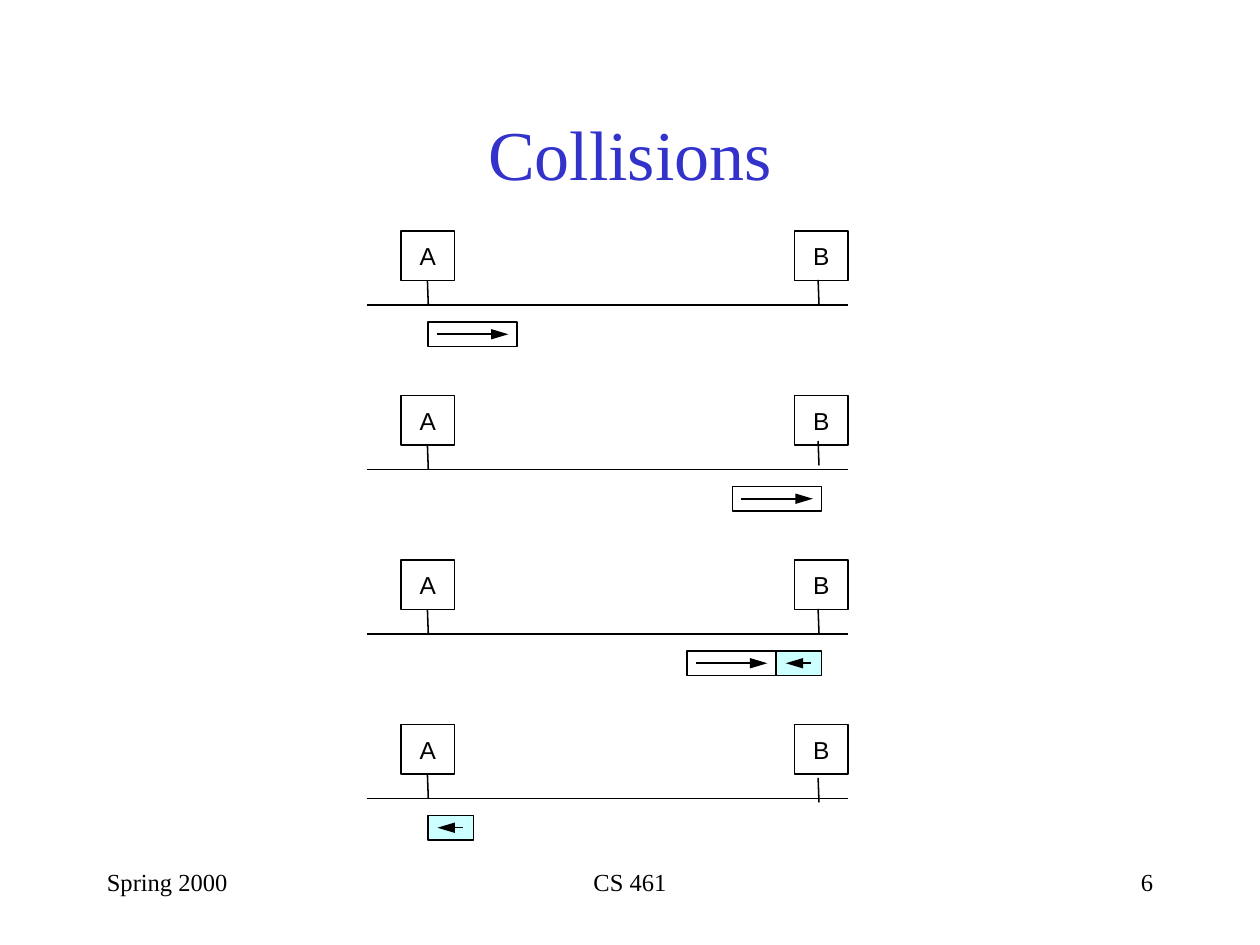
"""Build the Collisions slide: four stages of two stations sharing a bus."""
from lxml.etree import SubElement
from pptx import Presentation
from pptx.dml.color import RGBColor
from pptx.enum.shapes import MSO_CONNECTOR, MSO_SHAPE
from pptx.enum.text import MSO_ANCHOR, PP_ALIGN
from pptx.oxml.ns import qn
from pptx.util import Pt


def color(value):
    return RGBColor.from_string(value)


def add_line(left, top, right, bottom, arrow=False):
    line = page.shapes.add_connector(
        MSO_CONNECTOR.STRAIGHT, Pt(left), Pt(top), Pt(right), Pt(bottom))
    line.line.color.rgb = color("000000")
    line.line.width = Pt(0.88)
    if arrow:
        SubElement(line.line._get_or_add_ln(), qn("a:tailEnd"), type="triangle", w="med", len="lg")
    SubElement(line._element.spPr, qn("a:effectLst"))


deck = Presentation()
deck.slide_width, deck.slide_height = Pt(720), Pt(540)
page = deck.slides.add_slide(deck.slide_layouts[6])

texts = [
    ("Collisions", 54, 48, 612, 78, 40, "3333CC", PP_ALIGN.CENTER, MSO_ANCHOR.MIDDLE),
    ("Spring 2000", 54, 492, 150, 36, 14, "000000", PP_ALIGN.LEFT, MSO_ANCHOR.TOP),
    ("CS 461", 246, 492, 228, 36, 14, "000000", PP_ALIGN.CENTER, MSO_ANCHOR.TOP),
    ("6", 516, 492, 150, 36, 14, "000000", PP_ALIGN.RIGHT, MSO_ANCHOR.TOP),
]
for text, left, top, width, height, size, ink, align, anchor in texts:
    box = page.shapes.add_textbox(Pt(left), Pt(top), Pt(width), Pt(height))
    box.text_frame.word_wrap = True
    box.text_frame.vertical_anchor = anchor
    para = box.text_frame.paragraphs[0]
    para.alignment = align
    span = para.add_run()
    span.text = text
    span.font.name = "Times New Roman"
    span.font.size = Pt(size)
    span.font.color.rgb = color(ink)

# Each stage: offset of B's stem, then packets as (left, sender)
stages = [
    (28, [(244.5, "A")]),
    (26, [(418.5, "A")]),
    (28, [(392.5, "A"), (443.5, "B")]),
    (30.5, [(244.5, "B")]),
]
packet_styles = {"A": (51, None, 5, 46), "B": (26, "CCFFFF", 20, 5.5)}

for row, (stem_offset, packets) in enumerate(stages):
    top = 132 + 94 * row
    boxes = [("A", 229, top, 30.75, 28.25, None), ("B", 454, top, 30.75, 28.25, None)]
    for left, sender in packets:
        width, fill, tail, head = packet_styles[sender]
        boxes.append(("", left, top + 52, width, 14, fill))
    for label, left, box_top, width, height, fill in boxes:
        box = page.shapes.add_shape(
            MSO_SHAPE.RECTANGLE, Pt(left), Pt(box_top), Pt(width), Pt(height))
        box.shadow.inherit = False
        box.line.color.rgb = color("000000")
        box.line.width = Pt(0.88)
        if fill:
            box.fill.solid()
            box.fill.fore_color.rgb = color(fill)
        else:
            box.fill.background()
        if label:
            frame = box.text_frame
            frame.margin_left = frame.margin_right = frame.margin_top = frame.margin_bottom = 0
            frame.vertical_anchor = MSO_ANCHOR.MIDDLE
            para = frame.paragraphs[0]
            para.alignment = PP_ALIGN.CENTER
            span = para.add_run()
            span.text = label
            span.font.name = "Arial"
            span.font.size = Pt(14)
            span.font.color.rgb = color("000000")
    add_line(209.5, top + 42.25, 484.75, top + 42.25)
    add_line(244.25, top + 28.25, 244.75, top + 42.25)
    add_line(467.5, top + stem_offset, 468, top + stem_offset + 14)
    for left, sender in packets:
        width, fill, tail, head = packet_styles[sender]
        add_line(left + tail, top + 59, left + head, top + 59, arrow=True)

deck.save("out.pptx")
